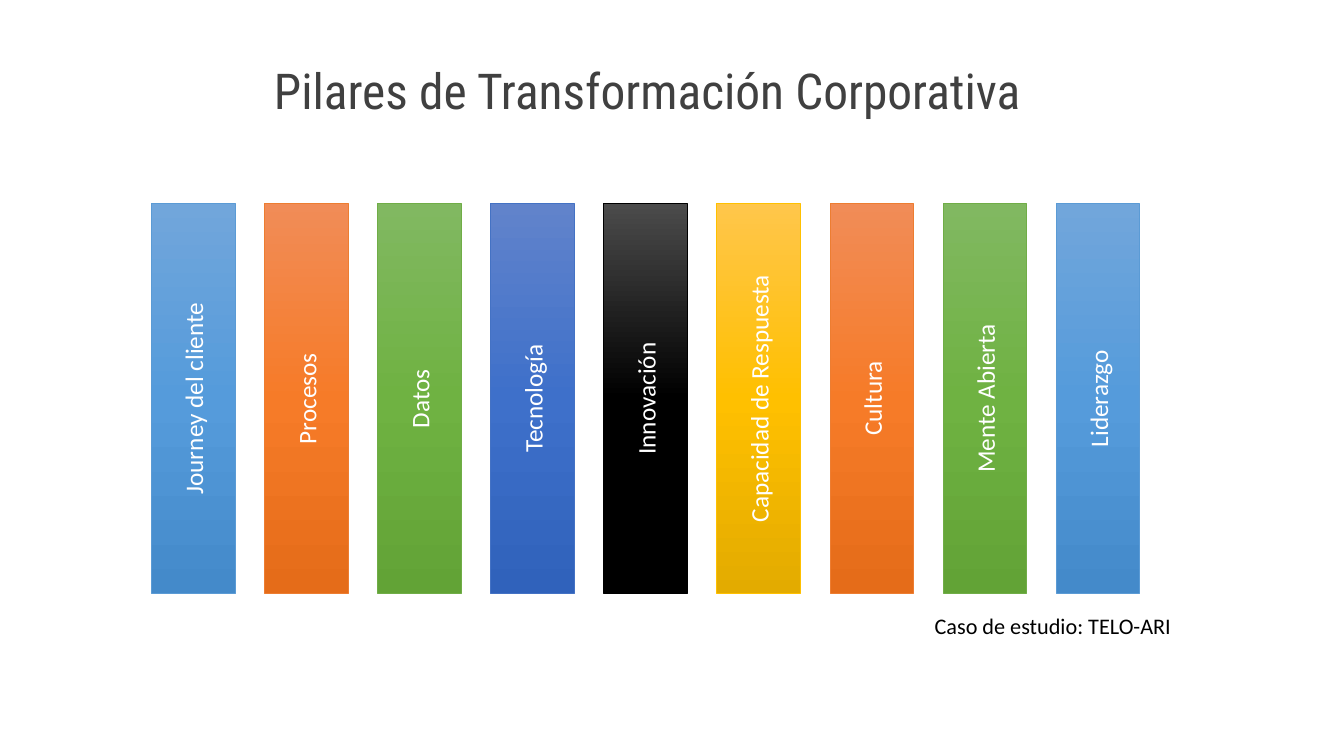
from copy import deepcopy
from dataclasses import dataclass

from pptx import Presentation
from pptx.dml.color import RGBColor
from pptx.enum.shapes import MSO_SHAPE
from pptx.enum.text import MSO_ANCHOR, MSO_AUTO_SIZE, PP_ALIGN
from pptx.oxml.ns import qn
from pptx.util import Cm, Pt


@dataclass(frozen=True)
class Palette:
    """Outline colour and gradient colours, from top to bottom, of a pillar."""
    line: str
    gradient: tuple


@dataclass(frozen=True)
class Theme:
    """Colours, fonts and type sizes of the slide."""
    title_font: str = "Roboto Condensed"
    text_font: str = "Calibri"
    title_size: float = 40
    pillar_size: float = 20.4
    note_size: float = 18
    title_color: str = "404040"
    pillar_color: str = "FFFFFF"
    note_color: str = "000000"
    blue: Palette = Palette("5B9BD5", ("71A6DB", "559BDB", "448ACA"))
    orange: Palette = Palette("ED7D31", ("F18C57", "F67B28", "E56C19"))
    green: Palette = Palette("70AD47", ("81B861", "6FB242", "62A336"))
    indigo: Palette = Palette("4472C4", ("6183CB", "3E70CA", "3062BB"))
    black: Palette = Palette("000000", ("4B4B4B", "000000", "000000"))
    yellow: Palette = Palette("FFC000", ("FFC64B", "FFC000", "E3AB00"))


THEME = Theme()
PILLARS = (
    ("Journey del cliente", THEME.blue),
    ("Procesos", THEME.orange),
    ("Datos", THEME.green),
    ("Tecnología", THEME.indigo),
    ("Innovación", THEME.black),
    ("Capacidad de Respuesta", THEME.yellow),
    ("Cultura", THEME.orange),
    ("Mente Abierta", THEME.green),
    ("Liderazgo", THEME.blue),
)
FIRST_LEFT, PILLAR_TOP = 4.32, 5.82
PILLAR_WIDTH, PILLAR_HEIGHT, PILLAR_PITCH = 2.39, 11.13, 3.23


def write(text_frame, text, font_name, size, color, alignment=PP_ALIGN.LEFT):
    """Fill a text frame with one formatted paragraph and return it."""
    text_frame.text = text
    paragraph = text_frame.paragraphs[0]
    paragraph.alignment = alignment
    paragraph.font.name = font_name
    paragraph.font.size = Pt(size)
    paragraph.font.color.rgb = RGBColor.from_string(color)
    return paragraph


def add_title(slide, text):
    """Place and format the title placeholder."""
    title = slide.shapes.title
    title.left, title.top = Cm(7.57), Cm(0.86)
    title.width, title.height = Cm(22.63), Cm(3.61)
    title.text_frame.vertical_anchor = MSO_ANCHOR.MIDDLE
    paragraph = write(title.text_frame, text, THEME.title_font,
                      THEME.title_size, THEME.title_color)
    paragraph.line_spacing = 0.9


def fill_gradient(shape, colors):
    """Fill a shape with evenly spaced colours from top to bottom."""
    fill = shape.fill
    fill.gradient()
    fill.gradient_angle = 270
    stop_list = shape.element.spPr.find(qn("a:gradFill")).find(qn("a:gsLst"))
    while len(stop_list) < len(colors):
        stop_list.append(deepcopy(stop_list[0]))
    for index, (stop, color) in enumerate(zip(fill.gradient_stops, colors)):
        stop.position = index / (len(colors) - 1)
        stop.color.rgb = RGBColor.from_string(color)


def add_pillar(slide, left, text, palette):
    """Draw one pillar with its label reading upwards."""
    shape = slide.shapes.add_shape(
        MSO_SHAPE.RECTANGLE, Cm(left), Cm(PILLAR_TOP),
        Cm(PILLAR_WIDTH), Cm(PILLAR_HEIGHT))
    shape.shadow.inherit = False
    fill_gradient(shape, palette.gradient)
    shape.line.color.rgb = RGBColor.from_string(palette.line)
    shape.line.width = Pt(0.5)
    text_frame = shape.text_frame
    text_frame.vertical_anchor = MSO_ANCHOR.MIDDLE
    text_frame._txBody.bodyPr.set("vert", "vert270")
    write(text_frame, text, THEME.text_font, THEME.pillar_size,
          THEME.pillar_color, PP_ALIGN.CENTER)


def add_note(slide, text):
    """Add the case study note below the pillars."""
    text_box = slide.shapes.add_textbox(Cm(26.44), Cm(17.37), Cm(7.59), Cm(1.02))
    text_frame = text_box.text_frame
    text_frame.word_wrap = False
    text_frame.auto_size = MSO_AUTO_SIZE.SHAPE_TO_FIT_TEXT
    write(text_frame, text, THEME.text_font, THEME.note_size, THEME.note_color)


def main():
    """Build and save the slide."""
    presentation = Presentation()
    presentation.slide_width, presentation.slide_height = Cm(38.38), Cm(21.59)
    slide = presentation.slides.add_slide(presentation.slide_layouts[5])
    add_title(slide, "Pilares de Transformación Corporativa")
    for index, (text, palette) in enumerate(PILLARS):
        add_pillar(slide, FIRST_LEFT + index * PILLAR_PITCH, text, palette)
    add_note(slide, "Caso de estudio: TELO-ARI")
    presentation.save("out.pptx")


if __name__ == "__main__":
    main()
